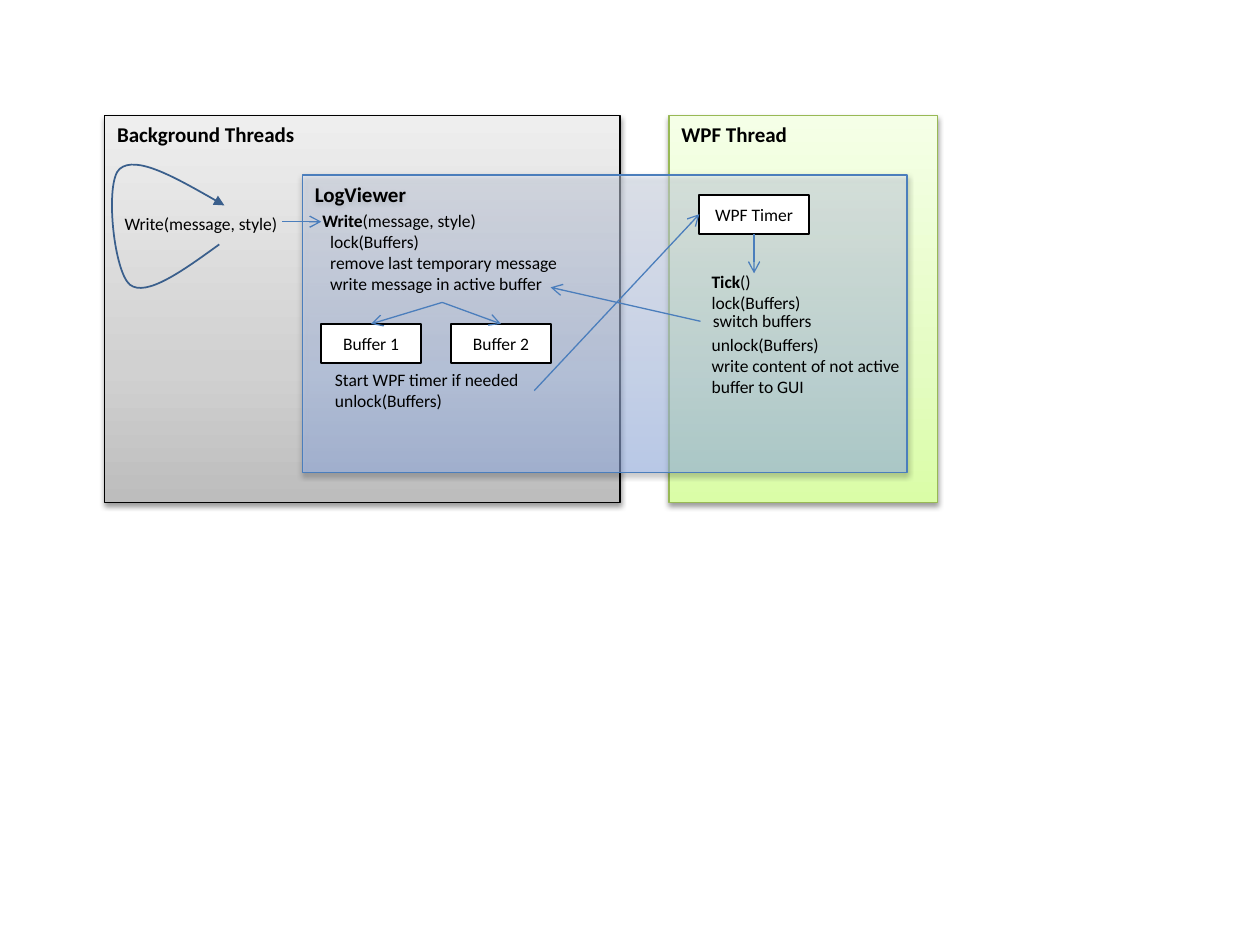
from lxml import etree
from pptx import Presentation
from pptx import util as u
from pptx.dml.color import RGBColor
from pptx.enum import shapes, text
from pptx.oxml.ns import qn

COLOURS = {
    "ink": "000000", "paper": "FFFFFF", "arrow": "4B7EBC", "loop": "3A5F8C",
    "green_edge": "98B955",
}
GRADIENTS = {  # bottom to top: position, colour, opacity (percent)
    "green": [(0, "DAFDA7", 100), (35, "E4FCC2", 100), (100, "F5FFE7", 100)],
    "grey": [(0, "BDBDBD", 100), (35, "D1D1D1", 100), (100, "EEEEEE", 100)],
    "blue": [(0, "A4C4FF", 50), (35, "BFD4FF", 51), (100, "E6EEFF", 46)],
}
BACKGROUND = (59.8, 66.2, 294.5, 221)
WPF = (382.3, 66.2, 153.4, 221)
VIEWER = (172.8, 100.1, 345.6, 169.9)
TEXT_SIZE, TITLE_SIZE, BOX_HEIGHT, INDENT = 10, 12, 22.3, 4.5


def colour(name):
    """Return the named colour."""
    return RGBColor.from_string(COLOURS[name])


def child(parent, tag, **attributes):
    """Append a drawing element and return it."""
    return etree.SubElement(parent, qn("a:" + tag),
                            {key: str(value) for key, value in attributes.items()})


def opaque_colour(parent, value, opacity):
    """Append an RGB colour with an opacity in percent."""
    child(child(parent, "srgbClr", val=value), "alpha", val=opacity * 1000)


def set_line(item, name, width):
    """Give a shape or connector a solid line."""
    item.line.color.rgb = colour(name)
    item.line.width = u.Pt(width)


def write(frame, paragraphs, size=TEXT_SIZE, bold=None, align=None):
    """Write paragraphs, each a list of (words, bold) spans or a string."""
    for number, content in enumerate(paragraphs):
        para = frame.paragraphs[0] if number == 0 else frame.add_paragraph()
        para.font.size, para.font.name = u.Pt(size), "Calibri"
        para.font.color.rgb, para.alignment = colour("ink"), align
        spans = [(content, bold)] if isinstance(content, str) else content
        for words, is_bold in spans:
            span = para.add_run()
            span.text, span.font.bold = words, is_bold


def add_text(page, left, top, width, height, paragraphs):
    """Add an unwrapped text box and return its paragraphs."""
    box = page.shapes.add_textbox(*map(u.Pt, (left, top, width, height)))
    box.text_frame.word_wrap = False
    write(box.text_frame, paragraphs)
    return box.text_frame.paragraphs


def add_panel(page, area, title, gradient, edge):
    """Add a titled gradient panel with a soft shadow."""
    panel = page.shapes.add_shape(shapes.MSO_SHAPE.RECTANGLE, *map(u.Pt, area))
    panel.fill.gradient()
    panel.fill.gradient_angle = 90
    stops = panel._element.spPr.find(".//" + qn("a:gsLst"))
    for stop in list(stops):
        stops.remove(stop)
    for position, value, opacity in GRADIENTS[gradient]:
        opaque_colour(child(stops, "gs", pos=position * 1000), value, opacity)
    set_line(panel, edge, 0.75)
    panel.shadow.inherit = False
    effects = panel._element.spPr.find(qn("a:effectLst"))
    shadow = child(effects, "outerShdw", blurRad=u.Pt(3.1), dist=u.Pt(1.6),
                   dir=5400000, rotWithShape=0)
    opaque_colour(shadow, COLOURS["ink"], 38)
    panel.text_frame.vertical_anchor = text.MSO_ANCHOR.TOP
    write(panel.text_frame, [title], TITLE_SIZE, True, text.PP_ALIGN.LEFT)


def add_box(page, left, top, width, label):
    """Add a white labelled box."""
    box = page.shapes.add_shape(shapes.MSO_SHAPE.RECTANGLE,
                                *map(u.Pt, (left, top, width, BOX_HEIGHT)))
    box.fill.solid()
    box.fill.fore_color.rgb = colour("paper")
    set_line(box, "ink", 1)
    box.shadow.inherit = False
    box.text_frame.vertical_anchor = text.MSO_ANCHOR.MIDDLE
    write(box.text_frame, [label], align=text.PP_ALIGN.CENTER)


def add_arrow(page, start, end):
    """Add a straight open-headed arrow."""
    arrow = page.shapes.add_connector(shapes.MSO_CONNECTOR.STRAIGHT,
                                      *map(u.Pt, (*start, *end)))
    set_line(arrow, "arrow", 0.75)
    child(arrow.line._get_or_add_ln(), "tailEnd", type="arrow")
    child(arrow._element.spPr, "effectLst")


def add_loop(page, left, top):
    """Add the curved arrow that repeats the background write."""
    points = [(65.5, 73.5), (44.6, 88.6), (23.7, 103.7), (14.4, 96.5), (5, 88.6),
              (0, 37.5), (8.6, 30.3), (18, 22.4), (43.2, 36.8), (68.4, 51.2)]
    points = [(u.Pt(left + x), u.Pt(top + y)) for x, y in points]
    builder = page.shapes.build_freeform(*points[0])
    builder.add_line_segments(points[1:], close=False)
    loop = builder.convert_to_shape()
    segments = list(loop._element.iter(qn("a:lnTo")))
    outline = segments[0].getparent()
    for first in range(0, len(segments), 3):
        curve = child(outline, "cubicBezTo")
        for segment in segments[first:first + 3]:
            curve.append(segment[0])
            outline.remove(segment)
    loop.fill.background()
    set_line(loop, "loop", 1)
    child(loop.line._get_or_add_ln(), "tailEnd", type="triangle")
    loop.shadow.inherit = False


def background_threads(page, area):
    """Draw the background threads and their write loop."""
    left, top = area[:2]
    add_panel(page, area, "Background Threads", "grey", "ink")
    add_text(page, left + 4.3, top + 51.9, 103.7, 19.4, ["Write(message, style)"])
    add_loop(page, left, top)


def log_viewer(page, area):
    """Draw the viewer with its write steps and two buffers."""
    left, top = area[:2]
    add_panel(page, area, "LogViewer", "blue", "arrow")
    steps = add_text(page, left + 4.3, top + 16.5, 151, 55.4, [
        [("Write", True), ("(message, style)", False)], "lock(Buffers)",
        "remove last temporary message", "write message in active buffer"])
    for para in steps[1:]:
        para._p.get_or_add_pPr().set("marL", str(u.Pt(INDENT)))
    buffer_top, buffer_width = top + 85, 56.9
    for number in range(2):
        buffer_left = left + 10.8 + number * 74.2
        add_box(page, buffer_left, buffer_top, buffer_width, f"Buffer {number + 1}")
        add_arrow(page, (left + 79.9, top + 72.7),
                  (buffer_left + buffer_width / 2, buffer_top))
    add_text(page, left + 11.5, top + 107.3, 121, 31.7,
             ["Start WPF timer if needed", "unlock(Buffers)"])


def timer_steps(page, area):
    """Draw the timer and its tick steps inside the WPF thread."""
    left, top = area[0] + 17.3, area[1] + 45.4
    width = 62.6
    add_box(page, left, top, width, "WPF Timer")
    middle = left + width / 2
    add_arrow(page, (middle, top + BOX_HEIGHT), (middle, top + 2 * BOX_HEIGHT))
    tick = add_text(page, left, top + 39.6, 77, 55.4, [
        [("Tick", True), ("()", False)], "lock(Buffers)", "unlock(Buffers)"])
    tick[2].space_before = u.Pt(12)
    add_text(page, left + 0.7, top + 61.9, 72, 19.4, ["switch buffers"])
    add_text(page, left, top + 87.8, 126, 31.7,
             ["write content of not active", "buffer to GUI"])


def thread_links(page):
    """Draw the arrows that cross between regions."""
    for start, end in [((161.3, 126.7), (183.6, 126.7)),
                       ((305.3, 223.2), (399.6, 122.4)),
                       ((400.3, 183.6), (314.6, 164.2))]:
        add_arrow(page, start, end)


def main():
    """Build and save the deck."""
    deck = Presentation()
    deck.slide_width, deck.slide_height = u.Pt(720), u.Pt(540)
    page = deck.slides.add_slide(deck.slide_layouts[6])
    add_panel(page, WPF, "WPF Thread", "green", "green_edge")
    background_threads(page, BACKGROUND)
    log_viewer(page, VIEWER)
    timer_steps(page, WPF)
    thread_links(page)
    deck.save("out.pptx")


main()
